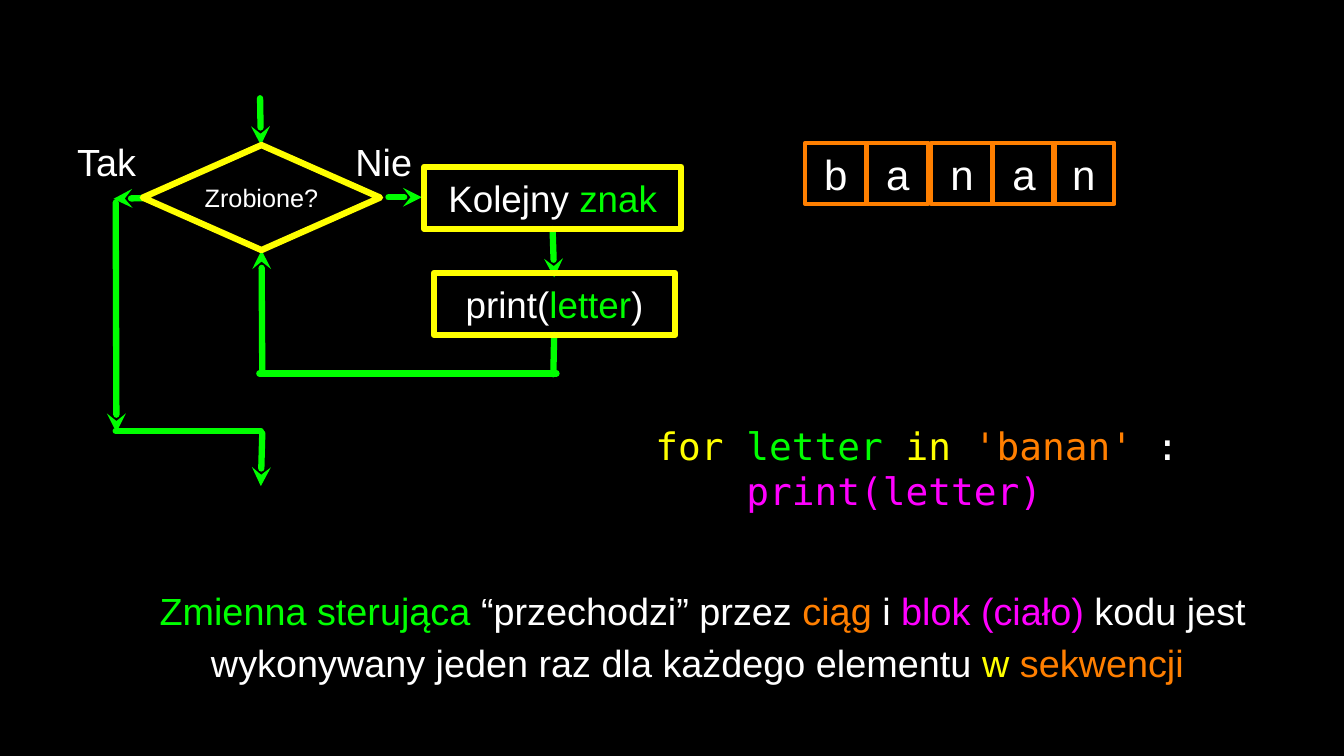
from lxml.etree import SubElement
from pptx import Presentation
from pptx.dml.color import RGBColor
from pptx.enum.shapes import MSO_CONNECTOR, MSO_SHAPE
from pptx.enum.text import MSO_ANCHOR, PP_ALIGN
from pptx.oxml.ns import qn
from pptx.util import Pt

WHITE, BLACK = "FFFFFF", "000000"
GREEN, YELLOW = "00FF00", "FFFF00"
ORANGE, MAGENTA = "FF7F00", "FF00FF"


def color(value):
    return RGBColor.from_string(value)


class FlowSlide:
    font = "Arial"
    mono = "DejaVu Sans Mono"
    stroke = 6

    def __init__(self, prs):
        self.s = prs.slides.add_slide(prs.slide_layouts[6])
        fill = self.s.background.fill
        fill.solid()
        fill.fore_color.rgb = color(BLACK)

    def set_text(self, sp, lines, size, font=None, align=PP_ALIGN.CENTER, spacing=None):
        tf = sp.text_frame
        tf.word_wrap = True
        tf.vertical_anchor = MSO_ANCHOR.MIDDLE
        tf.margin_left = tf.margin_right = tf.margin_top = tf.margin_bottom = 0
        for i, runs in enumerate(lines):
            p = tf.add_paragraph() if i else tf.paragraphs[0]
            p.alignment = align
            if spacing:
                p.line_spacing = spacing
            p.font.size = Pt(size)
            p.font.name = font or self.font
            for text, value in runs:
                r = p.add_run()
                r.text = text
                r.font.color.rgb = color(value)

    def text(self, box, lines, size=36, **style):
        sp = self.s.shapes.add_textbox(*map(Pt, box))
        self.set_text(sp, lines, size, **style)

    def block(self, box, runs, size, line=YELLOW, width=stroke, kind=MSO_SHAPE.RECTANGLE):
        sp = self.s.shapes.add_shape(kind, *map(Pt, box))
        sp.shadow.inherit = False
        sp.fill.background()
        sp.line.color.rgb = color(line)
        sp.line.width = Pt(width)
        self.set_text(sp, [runs], size)

    def line(self, start, end, arrow=True):
        cx = self.s.shapes.add_connector(MSO_CONNECTOR.STRAIGHT, *map(Pt, start + end))
        cx.line.color.rgb = color(GREEN)
        cx.line.width = Pt(self.stroke)
        props = cx._element.spPr
        ln = props.find(qn("a:ln"))
        ln.set("cap", "rnd")
        SubElement(ln, qn("a:round"))
        if arrow:
            SubElement(ln, qn("a:tailEnd"), type="stealth")
        SubElement(props, qn("a:effectLst"))


def main():
    prs = Presentation()
    prs.slide_width, prs.slide_height = Pt(1280), Pt(720)
    slide = FlowSlide(prs)

    arrows = [
        ((247.7, 93.6), (248.4, 138.2)),
        ((249.8, 355.7), (249.1, 238.3)),
        ((526.3, 218.2), (527.8, 264.2)),
        ((139, 188.6), (108, 189.4)),
        ((249.8, 412.6), (248.4, 463)),
        ((110.2, 193), (110.9, 411.8)),
        ((370, 187.9), (401.8, 187.9)),
    ]
    for start, end in arrows:
        slide.line(start, end)

    joins = [
        ((527.8, 319), (527, 356.4)),
        ((247, 355.7), (530, 355.7)),
        ((110.2, 410.4), (248.4, 410.4)),
    ]
    for start, end in joins:
        slide.line(start, end, arrow=False)

    slide.block((136, 138.2, 226, 100), [("Zrobione?", WHITE)], 24, kind=MSO_SHAPE.DIAMOND)
    slide.block((413.3, 260, 229.7, 59),
                [("print(", WHITE), ("letter", GREEN), (")", WHITE)], 35)
    slide.block((404, 159, 244.8, 59), [("Kolejny ", WHITE), ("znak", GREEN)], 35)
    slide.text((67, 129, 69, 49), [[("Tak", WHITE)]])
    slide.text((337, 129, 57, 49), [[("Nie", WHITE)]])

    for letter, left in zip("banan", (766.8, 825.8, 887, 946, 1003)):
        slide.block((left, 136, 58.3, 58.3), [(letter, WHITE)], 40, ORANGE, 4)

    code = [
        [("for", YELLOW), (" letter ", GREEN), ("in", YELLOW),
         (" 'banan' ", ORANGE), (":", WHITE)],
        [("    print(letter)", MAGENTA)],
    ]
    slide.text((624.2, 400.3, 522.7, 90), code, font=slide.mono, align=PP_ALIGN.LEFT)

    summary = [
        (" Zmienna sterująca ", GREEN), ("“przechodzi” przez ", WHITE),
        ("ciąg ", ORANGE), ("i ", WHITE), ("blok (ciało)", MAGENTA),
        (" kodu jest wykonywany jeden raz dla każdego elementu ", WHITE),
        ("w ", YELLOW), ("sekwencji", ORANGE),
    ]
    slide.text((92.2, 549.4, 1144, 106.6), [summary], spacing=1.15)
    prs.save("out.pptx")


if __name__ == "__main__":
    main()
